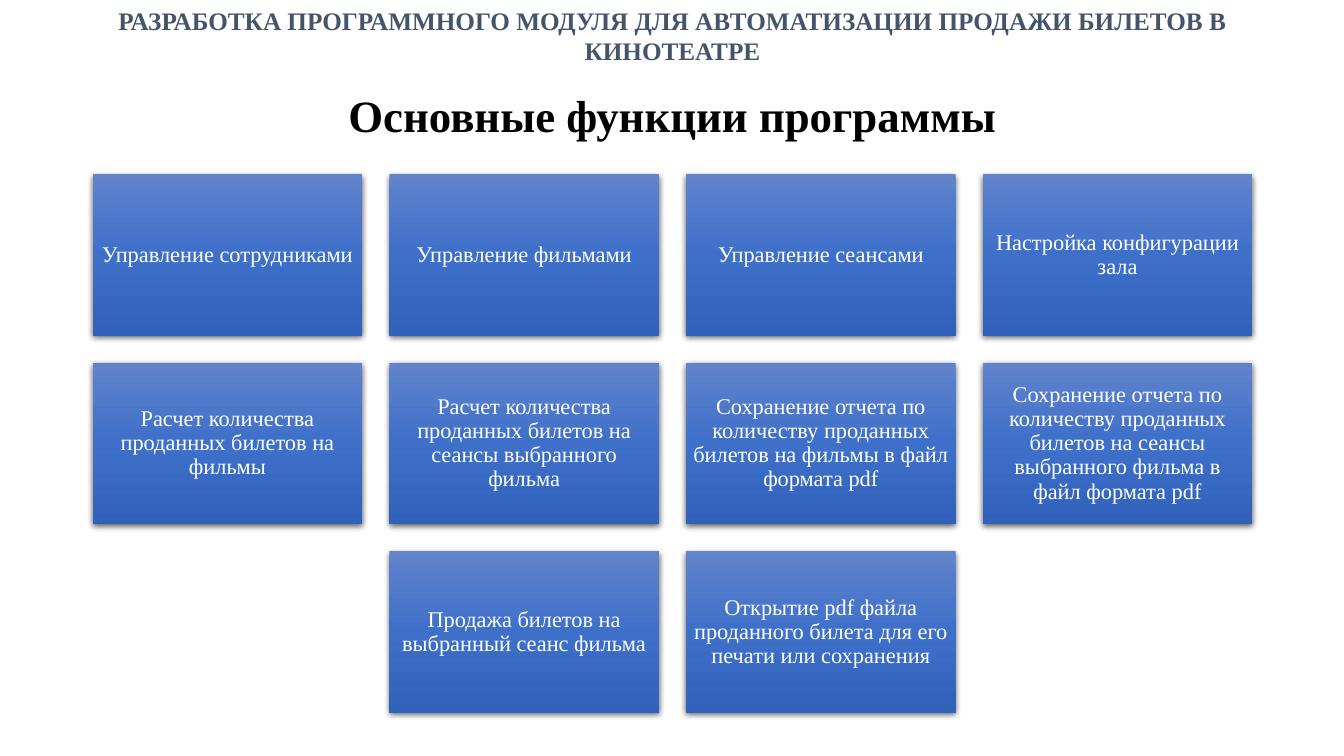
from copy import deepcopy

from pptx import Presentation, util as u
from pptx.dml.color import RGBColor
from pptx.enum import shapes, text
from pptx.oxml import parse_xml
from pptx.oxml.ns import nsdecls, qn

WIDTH, HEIGHT = 13.33, 7.5
MARGIN, CONTENT = 0.92, 11.5
GRADIENT = [(0, "6183CB"), (0.5, "3E70CA"), (1, "3062BB")]
FUNCTION_ROWS = [
    ["Управление сотрудниками",
     "Управление фильмами",
     "Управление сеансами",
     "Настройка конфигурации зала"],
    ["Расчет количества проданных билетов на фильмы",
     "Расчет количества проданных билетов на сеансы выбранного фильма",
     "Сохранение отчета по количеству проданных билетов на фильмы в файл формата pdf",
     "Сохранение отчета по количеству проданных билетов на сеансы выбранного фильма "
     "в файл формата pdf"],
    ["Продажа билетов на выбранный сеанс фильма",
     "Открытие pdf файла проданного билета для его печати или сохранения"],
]


def rgb(value):
    return RGBColor.from_string(value)


def write(shape, words, size, color, bold=False, spacing=1.0, **frame_format):
    """Put one centred paragraph into a shape."""
    frame = shape.text_frame
    for name, value in {"word_wrap": True, **frame_format}.items():
        setattr(frame, name, value)
    para = frame.paragraphs[0]
    para.alignment = text.PP_ALIGN.CENTER
    para.line_spacing = spacing
    span = para.add_run()
    span.text = words
    font_format = {"name": "Times New Roman", "size": u.Pt(size), "bold": bold}
    for name, value in font_format.items():
        setattr(span.font, name, value)
    span.font.color.rgb = rgb(color)


def add_heading(page, box, words, size, color, **text_format):
    heading = page.shapes.add_textbox(*map(u.Inches, box))
    write(heading, words, size, color, bold=True, **text_format)


def fill_gradient(shape):
    """Fill from top to bottom with the three tile colours."""
    shape.fill.gradient()
    shape.fill.gradient_angle = 270
    stop_list = shape._element.spPr.find(qn("a:gradFill")).find(qn("a:gsLst"))
    stop_list.append(deepcopy(stop_list[0]))
    for stop, (position, color) in zip(shape.fill.gradient_stops, GRADIENT):
        stop.position = position
        stop.color.rgb = rgb(color)


def add_shadow(shape):
    shape._element.spPr.append(parse_xml(
        f'<a:effectLst {nsdecls("a")}>'
        f'<a:outerShdw blurRad="{u.Pt(4.5)}" dist="{u.Pt(1.5)}" dir="5400000" '
        'algn="ctr" rotWithShape="0"><a:srgbClr val="000000">'
        '<a:alpha val="63000"/></a:srgbClr></a:outerShdw></a:effectLst>'))


def add_tile(page, box, words):
    tile = page.shapes.add_shape(shapes.MSO_SHAPE.RECTANGLE, *map(u.Inches, box))
    fill_gradient(tile)
    tile.line.fill.background()
    add_shadow(tile)
    margins = {f"margin_{side}": u.Inches(0.07)
               for side in ("left", "top", "right", "bottom")}
    write(tile, words, 16, "FFFFFF", spacing=0.9,
          vertical_anchor=text.MSO_ANCHOR.MIDDLE, **margins)


def add_function_grid(page, box, rows):
    """Lay the tiles out in rows, each row centred in the box."""
    left, top, width, height = box
    gap = 0.27
    columns = max(map(len, rows))
    tile_width = (width - gap * (columns - 1)) / columns
    tile_height = (height - gap * (len(rows) - 1)) / len(rows)
    for row, labels in enumerate(rows):
        indent = (columns - len(labels)) / 2
        for column, label in enumerate(labels):
            x = left + (indent + column) * (tile_width + gap)
            y = top + row * (tile_height + gap)
            add_tile(page, (x, y, tile_width, tile_height), label)


def main():
    deck = Presentation()
    deck.slide_width, deck.slide_height = u.Inches(WIDTH), u.Inches(HEIGHT)
    page = deck.slides.add_slide(deck.slide_layouts[6])
    add_heading(page, (MARGIN, 0.82, CONTENT, 0.71), "Основные функции программы",
                32, "000000", spacing=0.9, vertical_anchor=text.MSO_ANCHOR.MIDDLE)
    add_heading(page, (MARGIN, 0, CONTENT, 0.71),
                "РАЗРАБОТКА ПРОГРАММНОГО МОДУЛЯ ДЛЯ АВТОМАТИЗАЦИИ "
                "ПРОДАЖИ БИЛЕТОВ В КИНОТЕАТРЕ", 18, "44546A")
    add_function_grid(page, (MARGIN, 1.73, CONTENT, 5.34), FUNCTION_ROWS)
    deck.save("out.pptx")


if __name__ == "__main__":
    main()
